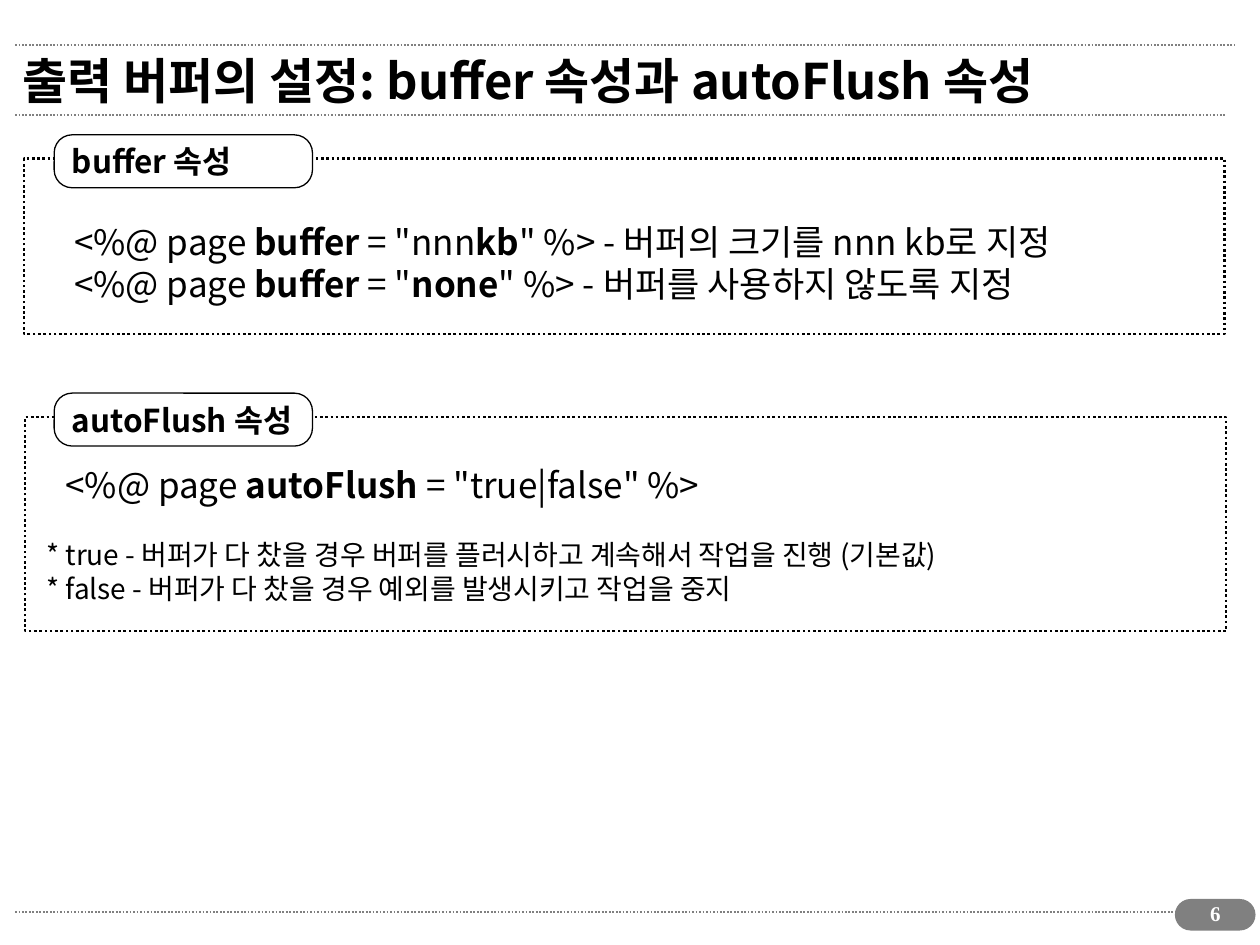
import dataclasses

import pptx
import pptx.dml.color
import pptx.enum.dml
import pptx.enum.shapes
import pptx.enum.text
import pptx.oxml.ns
import pptx.util
from lxml import etree
from pptx.util import Inches

SHAPE = pptx.enum.shapes.MSO_SHAPE
ANCHOR = pptx.enum.text.MSO_ANCHOR
ALIGN = pptx.enum.text.PP_ALIGN
AUTO_SIZE = pptx.enum.text.MSO_AUTO_SIZE
DOTTED = pptx.enum.dml.MSO_LINE.ROUND_DOT


@dataclasses.dataclass(frozen=True)
class Theme:
    ink: str = "000000"
    paper: str = "FFFFFF"
    gray: str = "808080"
    font: str = "Noto Sans CJK KR"
    number_font: str = "Times New Roman"
    title: int = 28
    code: int = 20
    label: int = 18
    note: int = 16
    number: int = 12


def rgb(value):
    return pptx.dml.color.RGBColor.from_string(value)


def write(frame, text, *, size, color, font, bold=False, align=ALIGN.LEFT,
          anchor=ANCHOR.TOP, wrap=True, grow=False):
    """Fill the frame line by line; ** marks switch bold on and off."""
    frame.word_wrap = wrap
    frame.vertical_anchor = anchor
    frame.auto_size = AUTO_SIZE.SHAPE_TO_FIT_TEXT if grow else AUTO_SIZE.NONE
    for index, line in enumerate(text.split("\n")):
        paragraph = frame.add_paragraph() if index else frame.paragraphs[0]
        paragraph.alignment = align
        for part, words in enumerate(line.split("**")):
            run = paragraph.add_run()
            run.text = words
            run.font.size = pptx.util.Pt(size)
            run.font.bold = bold or part % 2 == 1
            run.font.name = font
            run.font.color.rgb = rgb(color)
            east_asian = etree.SubElement(run.font._element, pptx.oxml.ns.qn("a:ea"))
            east_asian.set("typeface", font)


class SlideBuilder:
    def __init__(self, slide, theme):
        self.slide = slide
        self.theme = theme

    def outline(self, line, color, width, dash=None):
        line.color.rgb = rgb(color)
        line.width = pptx.util.Pt(width)
        if dash:
            line.dash_style = dash

    def rule(self, y, right):
        rule = self.slide.shapes.add_connector(
            pptx.enum.shapes.MSO_CONNECTOR.STRAIGHT,
            Inches(0.12), Inches(y), Inches(right), Inches(y))
        self.outline(rule.line, self.theme.gray, 1, DOTTED)
        etree.SubElement(rule._element.spPr, pptx.oxml.ns.qn("a:effectLst"))

    def box(self, kind, left, top, width, height, *, line, weight,
            fill=None, dash=None, rounding=None):
        box = self.slide.shapes.add_shape(
            kind, Inches(left), Inches(top), Inches(width), Inches(height))
        box.shadow.inherit = False
        if fill:
            box.fill.solid()
            box.fill.fore_color.rgb = rgb(fill)
        else:
            box.fill.background()
        self.outline(box.line, line, weight, dash)
        if rounding is not None:
            box.adjustments[0] = rounding
        return box

    def text(self, text, left, top, width, height, **style):
        style = {"color": self.theme.ink, "font": self.theme.font} | style
        area = self.slide.shapes.add_textbox(
            Inches(left), Inches(top), Inches(width), Inches(height))
        write(area.text_frame, text, **style)

    def section(self, label, left, top, height):
        """Dotted frame with a label tab sitting on its top edge."""
        theme = self.theme
        self.box(SHAPE.RECTANGLE, left, top, 9.53, height,
                 line=theme.ink, weight=1.5, dash=DOTTED)
        tab = self.box(SHAPE.ROUNDED_RECTANGLE, 0.43, top - 0.19, 2.05, 0.42,
                       line=theme.ink, weight=0.75, fill=theme.paper, rounding=0.34)
        write(tab.text_frame, label, size=theme.label, color=theme.ink,
              font=theme.font, bold=True, anchor=ANCHOR.MIDDLE, wrap=False)

    def page_number(self, number):
        theme = self.theme
        self.box(SHAPE.ROUNDED_RECTANGLE, 9.33, 7.14, 0.63, 0.24,
                 line=theme.gray, weight=0.75, fill=theme.gray, rounding=0.5)
        self.text(number, 9.37, 7.1, 0.55, 0.34, size=theme.number, bold=True,
                  color=theme.paper, font=theme.number_font, align=ALIGN.CENTER)


def main():
    deck = pptx.Presentation()
    deck.slide_width, deck.slide_height = Inches(10), Inches(7.5)
    theme = Theme()
    page = SlideBuilder(deck.slides.add_slide(deck.slide_layouts[6]), theme)

    for y, right in ((7.24, 9.73), (0.91, 9.72), (0.36, 9.8)):
        page.rule(y, right)
    page.text("출력 버퍼의 설정: buffer 속성과 autoFlush 속성", 0.08, 0.28, 9.1, 0.71,
              size=theme.title, bold=True, anchor=ANCHOR.MIDDLE)

    page.section("buffer 속성", 0.19, 1.26, 1.39)
    page.text('<%@ page **buffer** = "nnn**kb**" %> - 버퍼의 크기를 nnn kb로 지정\n'
              '<%@ page **buffer** = "**none**" %> - 버퍼를 사용하지 않도록 지정',
              0.49, 1.7, 8.24, 0.77, size=theme.code, wrap=False, grow=True)

    page.section("autoFlush 속성", 0.2, 3.31, 1.7)
    page.text('<%@ page **autoFlush** = "true|false" %>',
              0.42, 3.63, 5.33, 0.44, size=theme.code, wrap=False, grow=True)
    page.text("* true - 버퍼가 다 찼을 경우 버퍼를 플러시하고 계속해서 작업을 진행 (기본값)\n"
              "* false - 버퍼가 다 찼을 경우 예외를 발생시키고 작업을 중지",
              0.27, 4.22, 8.9, 0.71, size=theme.note)

    page.page_number("6")
    deck.save("out.pptx")


if __name__ == "__main__":
    main()
